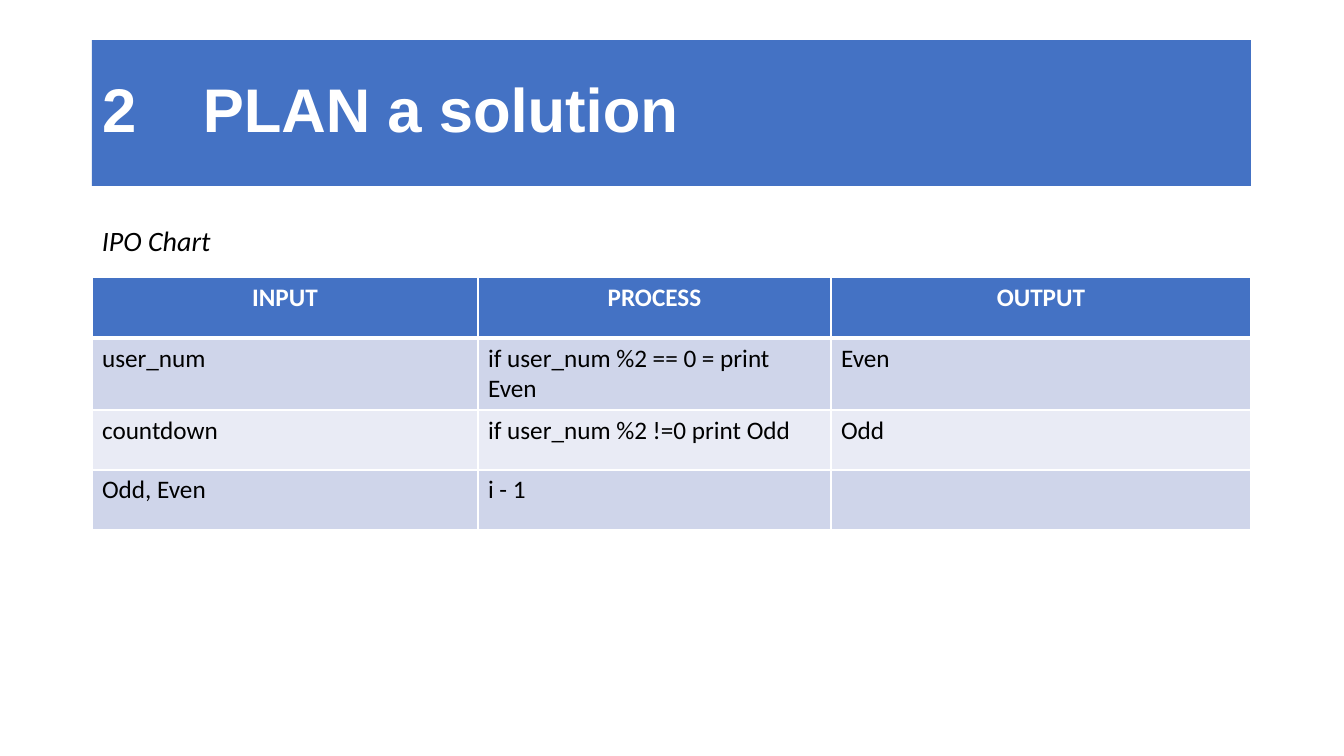
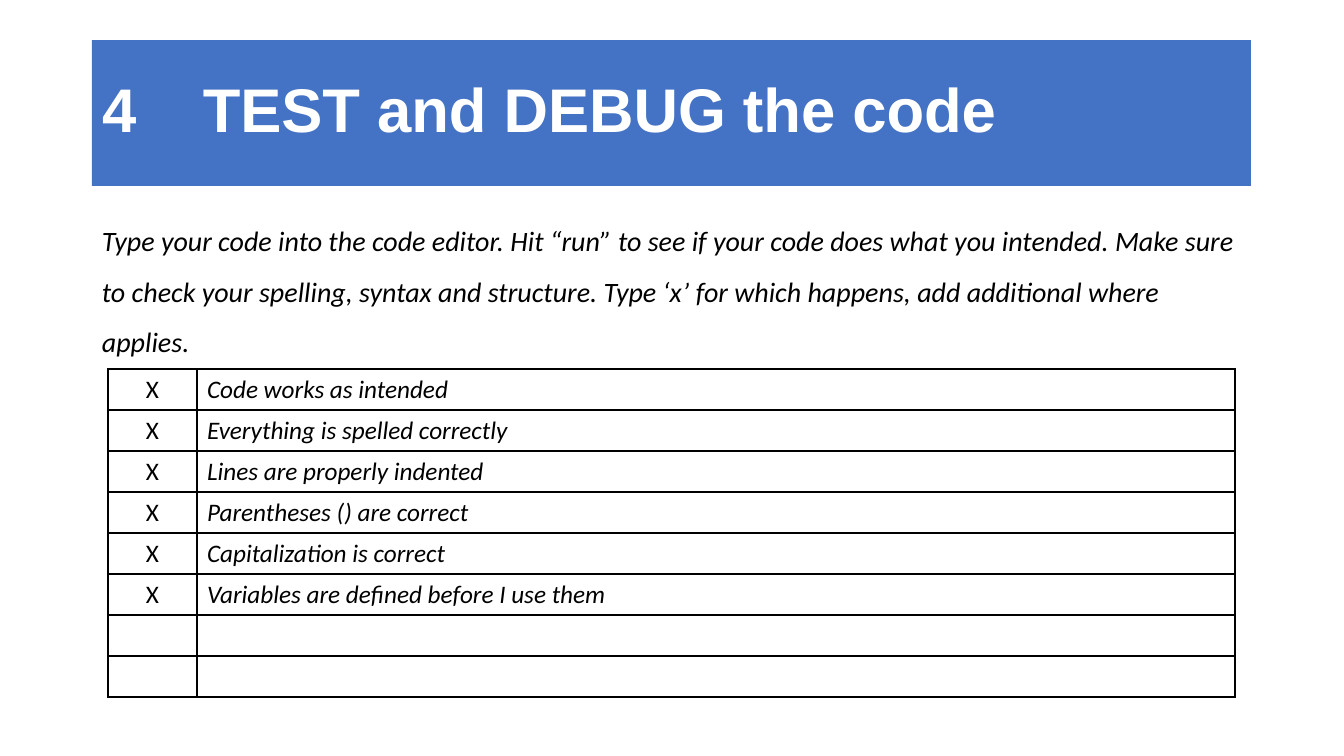
from lxml.etree import SubElement
from pptx import Presentation
from pptx.dml.color import RGBColor
from pptx.enum.text import MSO_ANCHOR as Anchor, MSO_AUTO_SIZE as AutoSize, PP_ALIGN as Align
from pptx.oxml.ns import qn
from pptx.util import Emu, Pt

SCALE = 12192000 / 1344
COLORS = {
    "accent": "4472C4",
    "band_dark": "CFD5EA",
    "band_light": "E9EBF5",
    "white": "FFFFFF",
    "black": "000000",
}
TITLE_ONLY = 5
LEFT, WIDTH = 92, 1159


def px(length):
    return Emu(round(length * SCALE))


def color(name):
    return RGBColor.from_string(COLORS[name])


class Deck:
    """Holds the shared style and the slide being built."""

    def __init__(self):
        self.presentation = Presentation()
        self.presentation.slide_width = px(1344)
        self.presentation.slide_height = px(756)
        self.slide = None

    def add_slide(self, number, title):
        layout = self.presentation.slide_layouts[TITLE_ONLY]
        self.slide = self.presentation.slides.add_slide(layout)
        shape = self.slide.shapes.title
        shape.left, shape.top = px(LEFT), px(40)
        shape.width, shape.height = px(WIDTH), px(146)
        shape.fill.solid()
        shape.fill.fore_color.rgb = color("accent")
        frame = shape.text_frame
        frame.auto_size = AutoSize.NONE
        frame.vertical_anchor = Anchor.MIDDLE
        paragraph = frame.paragraphs[0]
        paragraph.alignment = Align.LEFT
        paragraph.line_spacing = 0.9
        tabs = SubElement(paragraph._p.get_or_add_pPr(), qn("a:tabLst"))
        SubElement(tabs, qn("a:tab"), pos=str(Pt(72)), algn="l")
        self.add_run(paragraph, f"{number}\t{title}", 44, "white", "Arial", bold=True)

    def add_run(self, paragraph, text, size, color_name, font="Calibri", bold=False, italic=False):
        run = paragraph.add_run()
        run.text = text
        run.font.name = font
        run.font.size = Pt(size)
        run.font.bold = bold
        run.font.italic = italic
        run.font.color.rgb = color(color_name)

    def add_body(self, text):
        shape = self.slide.shapes.add_textbox(px(LEFT), px(202), px(WIDTH), px(480))
        shape.text_frame.word_wrap = True
        paragraph = shape.text_frame.paragraphs[0]
        paragraph.line_spacing = 1.5
        paragraph.space_before = Pt(10)
        self.add_run(paragraph, text, 20, "black", italic=True)

    def add_table(self, left, top, widths, heights):
        """Add a table without banding, whose cells are styled one by one."""
        table = self.slide.shapes.add_table(
            len(heights), len(widths), px(left), px(top), px(sum(widths)), px(sum(heights))
        ).table
        table.first_row = table.horz_banding = False
        for column, width in zip(table.columns, widths):
            column.width = px(width)
        for row, height in zip(table.rows, heights):
            row.height = px(height)
        return table

    def set_cell(self, cell, text, border, fill=None, text_color="black",
                 centered=False, top=1, bottom=1, **style):
        """Fill one cell; top and bottom are border widths in points."""
        properties = cell._tc.get_or_add_tcPr()
        for edge, width in (("L", 1), ("R", 1), ("T", top), ("B", bottom)):
            line = SubElement(properties, qn(f"a:ln{edge}"), w=str(Pt(width)))
            solid = SubElement(line, qn("a:solidFill"))
            SubElement(solid, qn("a:srgbClr"), val=COLORS[border])
        if fill:
            cell.fill.solid()
            cell.fill.fore_color.rgb = color(fill)
        else:
            cell.fill.background()
        paragraph = cell.text_frame.paragraphs[0]
        paragraph.alignment = Align.CENTER if centered else Align.LEFT
        if text:
            self.add_run(paragraph, text, 18, text_color, **style)


def build_plan(deck):
    deck.add_slide(2, "PLAN a solution")
    deck.add_body("IPO Chart")
    rows = [
        ("INPUT", "PROCESS", "OUTPUT"),
        ("user_num", "if user_num %2 == 0 = print Even", "Even"),
        ("countdown", "if user_num %2 !=0 print Odd", "Odd"),
        ("Odd, Even", "i - 1", ""),
    ]
    table = deck.add_table(LEFT, 277, (386, 353, 420), (61, 72, 60, 60))
    table.first_row = True
    for row_index, row in enumerate(rows):
        if row_index == 0:
            style = dict(fill="accent", text_color="white", centered=True, bold=True, bottom=3)
        else:
            style = dict(fill="band_dark" if row_index % 2 else "band_light",
                         top=3 if row_index == 1 else 1)
        for column_index, text in enumerate(row):
            deck.set_cell(table.cell(row_index, column_index), text, "white", **style)


def build_test(deck):
    deck.add_slide(4, "TEST and DEBUG the code")
    deck.add_body(
        "Type your code into the code editor. Hit “run” to see if your code does what you "
        "intended. Make sure to check your spelling, syntax and structure. Type ‘x’ for which "
        "happens, add additional where applies."
    )
    checks = [
        "Code works as intended",
        "Everything is spelled correctly",
        "Lines are properly indented",
        "Parentheses () are correct",
        "Capitalization is correct",
        "Variables are defined before I use them",
        "",
        "",
    ]
    table = deck.add_table(108, 369, (89, 1038), [41] * len(checks))
    for row_index, check in enumerate(checks):
        mark = "X" if check else ""
        deck.set_cell(table.cell(row_index, 0), mark, "black", centered=True)
        deck.set_cell(table.cell(row_index, 1), check, "black", italic=True)


def main():
    deck = Deck()
    build_plan(deck)
    build_test(deck)
    deck.presentation.save("out.pptx")


if __name__ == "__main__":
    main()
